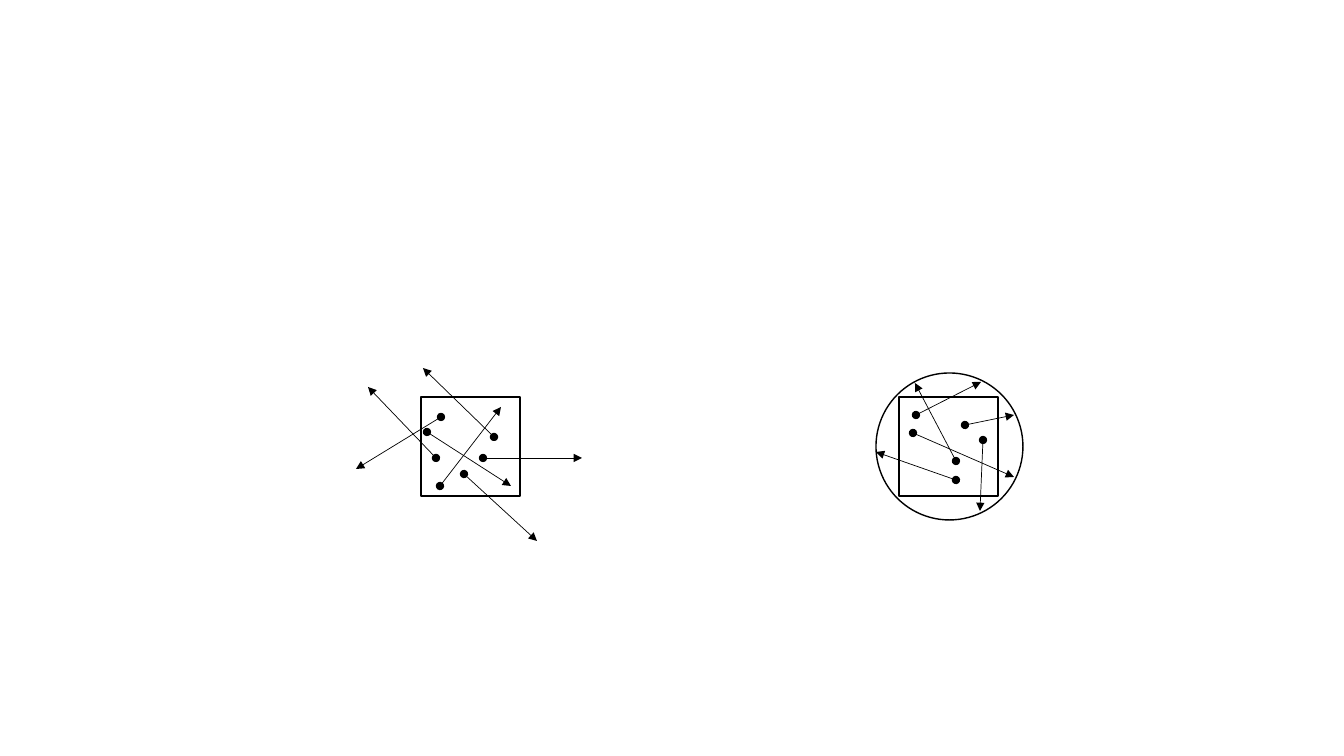
from lxml import etree
from pptx import Presentation
from pptx.dml.color import RGBColor
from pptx.enum.shapes import MSO_CONNECTOR, MSO_SHAPE
from pptx.oxml.ns import qn
from pptx.util import Emu, Pt

STRAIGHT = MSO_CONNECTOR.STRAIGHT
SQUARE = MSO_SHAPE.RECTANGLE
CIRCLE = MSO_SHAPE.OVAL
EMU_PER_PIXEL = 914400 / 100.8
BLACK = "000000"
WHITE = "FFFFFF"
BOX_SIZE = 99
BOX_TOP = 397
SPHERE_SIZE = 147

FREE_PATHS = [
    (483, 458, 582, 458),
    (440, 486, 501, 407),
    (464, 474, 537, 541),
    (494, 437, 423, 368),
    (441, 417, 356, 469),
    (427, 432, 511, 486),
    (436, 458, 368, 387),
]
BOUNDED_PATHS = [
    (913, 433, 1014, 477),
    (956, 461, 915, 383),
    (916, 415, 981, 382),
    (983, 440, 980, 511),
    (965, 425, 1014, 415),
    (956, 480, 876, 452),
]


def px(pixels):
    """Turn pixels into EMU."""
    return Emu(round(pixels * EMU_PER_PIXEL))


def color(hex_code):
    """Turn a hex string into a colour."""
    return RGBColor.from_string(hex_code)


def style_line(line, width):
    """Give a line its black stroke."""
    line.color.rgb = color(BLACK)
    line.width = Pt(width)


def add_outline(diagram, preset, left, top, size, fill=None):
    """Add a square or circle with a thin black outline."""
    outline = diagram.shapes.add_shape(preset, px(left), px(top), px(size), px(size))
    outline.shadow.inherit = False
    if fill:
        outline.fill.solid()
        outline.fill.fore_color.rgb = color(fill)
    else:
        outline.fill.background()
    style_line(outline.line, 1)


def add_particle(diagram, ends):
    """Add a particle dot with an arrow along its path."""
    particle = diagram.shapes.add_connector(STRAIGHT, *map(px, ends))
    style_line(particle.line, 0.5)
    properties = particle.element.spPr
    stroke = properties.find(qn("a:ln"))
    etree.SubElement(stroke, qn("a:headEnd"), type="oval")
    etree.SubElement(stroke, qn("a:tailEnd"), type="triangle")
    etree.SubElement(properties, qn("a:effectLst"))


def add_diagram(slide, box_left, particle_paths, sphere_corner=None):
    """Add a box of moving particles, with a sphere around it if placed."""
    diagram = slide.shapes.add_group_shape()
    add_outline(diagram, SQUARE, box_left, BOX_TOP, BOX_SIZE, WHITE)
    if sphere_corner:
        add_outline(diagram, CIRCLE, *sphere_corner, SPHERE_SIZE)
    for ends in particle_paths:
        add_particle(diagram, ends)


def main():
    """Build and save the slide."""
    deck = Presentation()
    deck.slide_width, deck.slide_height = px(1344), px(756)
    slide = deck.slides.add_slide(deck.slide_layouts[6])
    add_diagram(slide, 421, FREE_PATHS)
    add_diagram(slide, 899, BOUNDED_PATHS, (876, 373))
    deck.save("out.pptx")


main()
